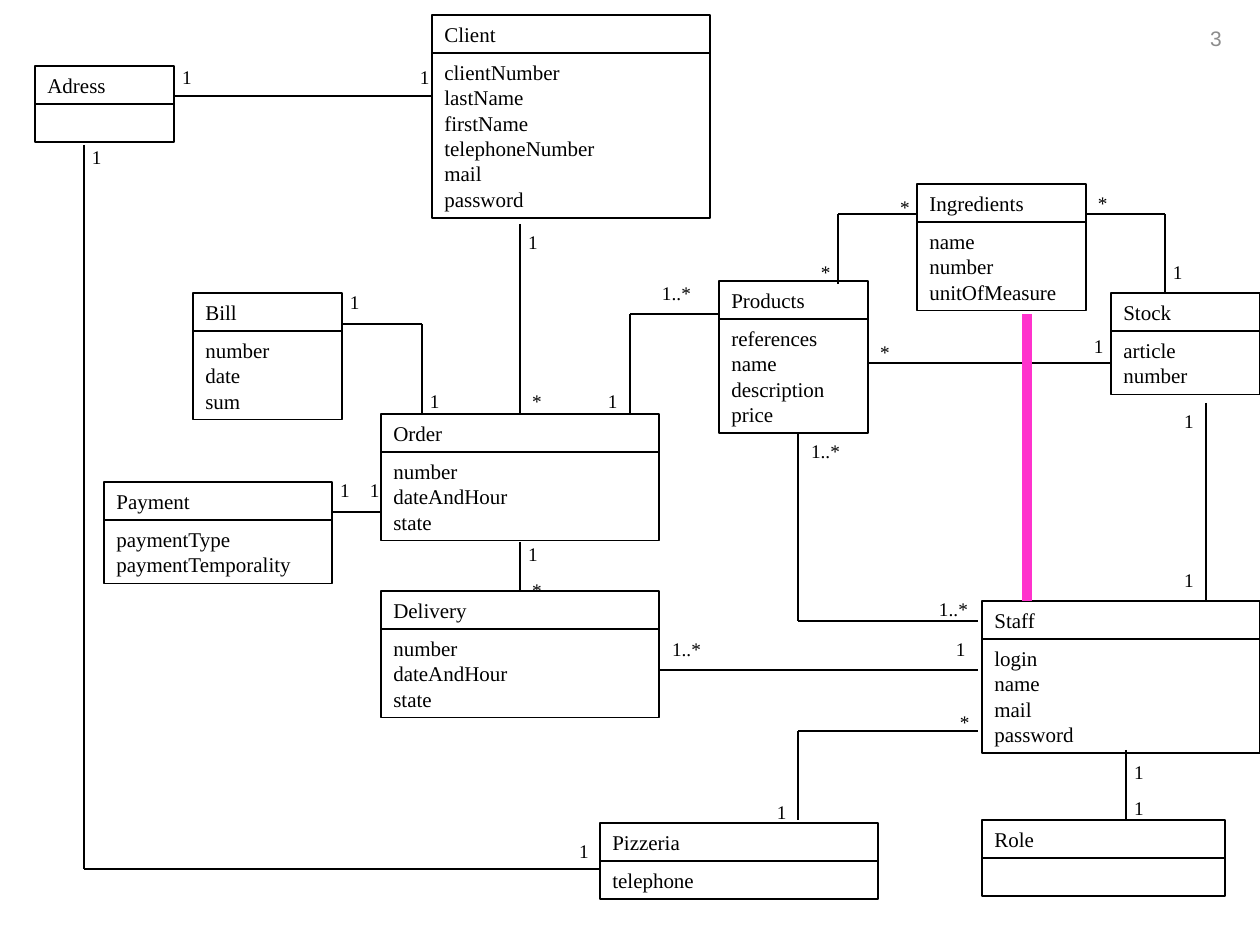
from itertools import pairwise
from lxml import etree
from pptx import Presentation
from pptx.dml.color import RGBColor
from pptx.enum.shapes import MSO_CONNECTOR, MSO_SHAPE
from pptx.enum.text import MSO_ANCHOR, PP_ALIGN
from pptx.oxml.ns import qn
from pptx.util import Pt

RECTANGLE = MSO_SHAPE.RECTANGLE
STRAIGHT = MSO_CONNECTOR.STRAIGHT
LEFT, CENTER = PP_ALIGN.LEFT, PP_ALIGN.CENTER
TOP, MIDDLE = MSO_ANCHOR.TOP, MSO_ANCHOR.MIDDLE
PX = 914400 / 126
SERIF = "Times New Roman"
HEADER_HEIGHT = 38
ROW_HEIGHT = 25.4
PADDING = 12.6


def color(value):
    return RGBColor.from_string(value)


def write(shape, lines, size, spacing, font=SERIF, ink="000000", align=LEFT, anchor=TOP):
    frame = shape.text_frame
    frame.word_wrap = True
    frame.vertical_anchor = anchor
    frame.text = "\n".join(lines)
    for paragraph in frame.paragraphs:
        paragraph.alignment = align
        paragraph.line_spacing = Pt(spacing)
        paragraph.font.size = Pt(size)
        paragraph.font.name = font
        paragraph.font.color.rgb = color(ink)


prs = Presentation()
prs.slide_width = round(1260 * PX)
prs.slide_height = round(945 * PX)
slide = prs.slides.add_slide(prs.slide_layouts[6])
shapes = slide.shapes

page_number = shapes.add_textbox(*(round(v * PX) for v in (1172, 0, 88, 78)))
write(page_number, ["3"], 12, 14, "Arial", "8C8C8C", CENTER, MIDDLE)

entities = [
    ("Client", 432, 15, 278, ["clientNumber", "lastName", "firstName", "telephoneNumber", "mail", "password"]),
    ("Staff", 982, 601, 278, ["login", "name", "mail", "password"]),
    ("Order", 381, 414, 278, ["number", "dateAndHour", "state"]),
    ("Delivery", 381, 591, 278, ["number", "dateAndHour", "state"]),
    ("Payment", 104, 482, 228, ["paymentType", "paymentTemporality"]),
    ("Products", 719, 281, 149, ["references", "name", "description", "price"]),
    ("Stock", 1111, 293, 149, ["article", "number"]),
    ("Bill", 193, 293, 149, ["number", "date", "sum"]),
    ("Ingredients", 917, 184, 169, ["name", "number", "unitOfMeasure"]),
    ("Pizzeria", 600, 823, 278, ["telephone"]),
    ("Adress", 35, 66, 139, []),
    ("Role", 982, 820, 243, []),
]
for entity, left, top, width, attributes in entities:
    body_height = PADDING + ROW_HEIGHT * max(1, len(attributes))
    compartments = [
        (top, HEADER_HEIGHT, [entity]),
        (top + HEADER_HEIGHT, body_height, attributes),
    ]
    for y, height, lines in compartments:
        box = shapes.add_shape(RECTANGLE, *(round(v * PX) for v in (left, y, width, height)))
        box.shadow.inherit = False
        box.fill.background()
        box.line.color.rgb = color("000000")
        box.line.width = Pt(0.75)
        write(box, lines, 12, 14.5)

associations = [
    [(520, 224), (520, 413)],
    [(520, 542), (520, 591)],
    [(432, 96), (174, 96)],
    [(84, 145), (84, 869), (600, 869)],
    [(1126, 750), (1126, 820)],
    [(342, 324), (422, 324), (422, 413)],
    [(798, 433), (798, 621), (978, 621)],
    [(978, 731), (798, 731), (798, 820)],
    [(1206, 403), (1206, 601)],
    [(1111, 363), (868, 363)],
    [(381, 512), (332, 512)],
    [(1086, 214), (1165, 214), (1165, 293)],
    [(917, 214), (838, 214), (838, 284)],
    [(978, 670), (660, 670)],
    [(719, 314), (630, 314), (630, 413)],
]
highlighted = [(1027, 314), (1027, 601)]
strokes = [(route, "000000", 1.57) for route in associations] + [(highlighted, "FF33CC", 6)]
for route, ink, weight in strokes:
    for start, end in pairwise(route):
        segment = shapes.add_connector(STRAIGHT, *(round(v * PX) for v in start + end))
        segment.line.color.rgb = color(ink)
        segment.line.width = Pt(weight)
        etree.SubElement(segment._element.spPr, qn("a:effectLst"))

multiplicities = {
    "1": (20, 8, [
        (362, 472), (520, 536), (1086, 328), (1176, 562), (1176, 403), (1165, 254),
        (332, 472), (1126, 754), (1126, 790), (948, 631), (769, 794), (571, 833),
        (84, 139), (412, 59), (174, 59), (342, 284), (422, 383), (520, 224), (600, 383),
    ]),
    "*": (30, 12, [
        (868, 334), (520, 572), (1086, 185), (809, 254), (888, 189), (948, 704), (520, 383),
    ]),
    "1..*": (69, 12, [(799, 433), (927, 591), (660, 631), (650, 275)]),
}
for multiplicity, (width, inset, spots) in multiplicities.items():
    for left, top in spots:
        label = shapes.add_textbox(*(round(v * PX) for v in (left, top, width, 37)))
        label.text_frame.margin_left = round(inset * PX)
        label.text_frame.margin_right = 0
        write(label, [multiplicity], 11, 13.5)

prs.save("out.pptx")
